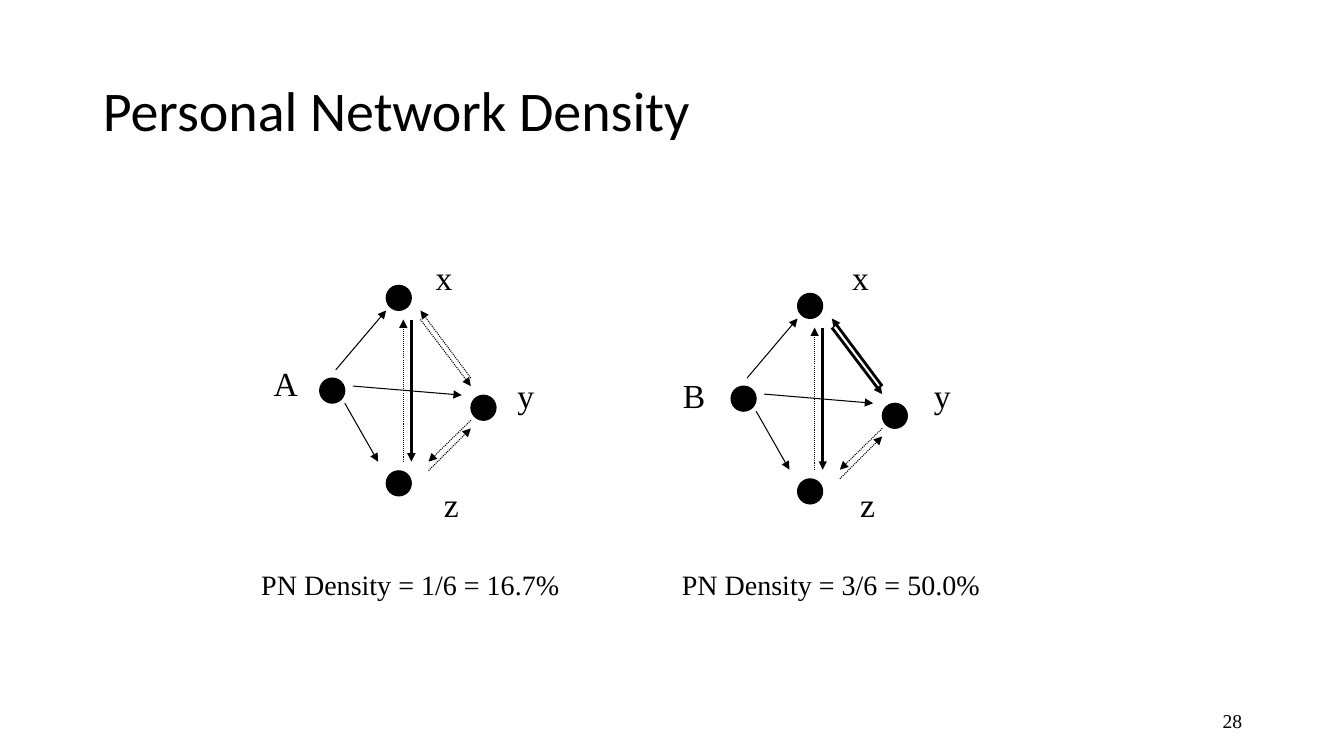
from dataclasses import dataclass

from lxml.etree import SubElement
from pptx import Presentation
from pptx.dml.color import RGBColor
from pptx.enum.dml import MSO_LINE
from pptx.enum.shapes import MSO_CONNECTOR, MSO_SHAPE
from pptx.enum.text import MSO_ANCHOR, MSO_AUTO_SIZE, PP_ALIGN
from pptx.oxml.ns import qn
from pptx.util import Inches, Pt


@dataclass(frozen=True)
class Theme:
    ink: RGBColor = RGBColor(0, 0, 0)
    head: str = "Calibri"
    body: str = "Times New Roman"
    title: int = 40
    label: int = 24
    note: int = 20
    page: int = 14
    thin: float = 0.75
    bold: float = 2


THEME = Theme()
DOT = 0.25

# Places in the first network; the second is shifted as a whole
NODES = {"ego": (3.17, 3.75), "x": (3.83, 2.83), "y": (4.67, 3.92), "z": (3.83, 4.67)}
EGO_TIES = [(3.42, 4, 3.75, 4.58), (3.5, 3.83, 4.58, 3.92), (3.33, 3.67, 3.83, 3.08)]
TIES = {
    "xz": (4.08, 3.17, 4.08, 4.58),
    "xy": (4.17, 3.17, 4.67, 3.83),
    "yx": (4.67, 3.75, 4.17, 3.08),
    "zx": (4, 4.58, 4, 3.17),
    "zy": (4.25, 4.67, 4.67, 4.25),
    "yz": (4.67, 4.17, 4.25, 4.58),
}
LABELS = {"x": (4.17, 2.5, 0.47), "y": (5.03, 3.67, 0.37), "z": (4.3, 4.75, 0.35)}


def style(para, font, size, align):
    para.alignment = align
    for run in para.runs:
        run.font.name = font
        run.font.size = Pt(size)
        run.font.color.rgb = THEME.ink


def add_title(slide, text):
    title = slide.shapes.title
    title.left, title.top = Inches(0.92), Inches(0.4)
    title.width, title.height = Inches(11.5), Inches(1.45)
    frame = title.text_frame
    frame.text = text
    frame.auto_size = MSO_AUTO_SIZE.NONE
    frame.vertical_anchor = MSO_ANCHOR.MIDDLE
    frame.paragraphs[0].line_spacing = 0.9
    style(frame.paragraphs[0], THEME.head, THEME.title, PP_ALIGN.LEFT)


def add_text(slide, text, left, top, width, height, size, align=PP_ALIGN.CENTER):
    box = slide.shapes.add_textbox(
        Inches(left), Inches(top), Inches(width), Inches(height))
    frame = box.text_frame
    frame.text = text
    frame.word_wrap = False
    style(frame.paragraphs[0], THEME.body, size, align)
    return frame


def add_node(slide, left, top):
    node = slide.shapes.add_shape(
        MSO_SHAPE.OVAL, Inches(left), Inches(top), Inches(DOT), Inches(DOT))
    node.shadow.inherit = False
    node.fill.solid()
    node.fill.fore_color.rgb = THEME.ink
    node.line.color.rgb = THEME.ink
    node.line.width = Pt(THEME.thin)


def add_arrow(slide, ends, dx, dy, width=THEME.thin, dotted=False):
    x1, y1, x2, y2 = ends
    arrow = slide.shapes.add_connector(
        MSO_CONNECTOR.STRAIGHT, Inches(x1 + dx), Inches(y1 + dy),
        Inches(x2 + dx), Inches(y2 + dy))
    arrow.line.color.rgb = THEME.ink
    arrow.line.width = Pt(width)
    if dotted:
        arrow.line.dash_style = MSO_LINE.ROUND_DOT
    SubElement(arrow.line._get_or_add_ln(), qn("a:tailEnd"), type="triangle")
    SubElement(arrow._element.spPr, qn("a:effectLst"))


def add_network(slide, strong, dx=0, dy=0):
    """Draw one ego network; ties named in strong are bold, the rest dotted."""
    for left, top in NODES.values():
        add_node(slide, left + dx, top + dy)
    for ends in EGO_TIES:
        add_arrow(slide, ends, dx, dy)
    for name, ends in TIES.items():
        if name in strong:
            add_arrow(slide, ends, dx, dy, THEME.bold)
        else:
            add_arrow(slide, ends, dx, dy, dotted=True)


def add_labels(slide, ego, spot, note, dx=0):
    for text, (left, top, width) in {**LABELS, ego: spot}.items():
        shift = 0 if text == ego else dx
        add_text(slide, text, left + shift, top, width, 0.51, THEME.label)
    add_text(slide, note, 2.48 + dx * 1.01, 5.58, 3.18, 0.44, THEME.note)


def main():
    deck = Presentation()
    deck.slide_width, deck.slide_height = Inches(13.33), Inches(7.5)
    slide = deck.slides.add_slide(deck.slide_layouts[5])
    add_title(slide, "Personal Network Density")
    add_network(slide, {"xz"})
    add_network(slide, {"xz", "xy", "yx"}, 4.08, 0.08)
    add_labels(slide, "A", (2.61, 3.55, 0.45), "PN Density = 1/6 = 16.7%")
    add_labels(slide, "B", (6.67, 3.67, 0.43), "PN Density = 3/6 = 50.0%", 4.13)
    page = add_text(slide, "28", 9.42, 6.95, 3, 0.4, THEME.page, PP_ALIGN.RIGHT)
    page.word_wrap = True
    page.vertical_anchor = MSO_ANCHOR.MIDDLE
    deck.save("out.pptx")


if __name__ == "__main__":
    main()
